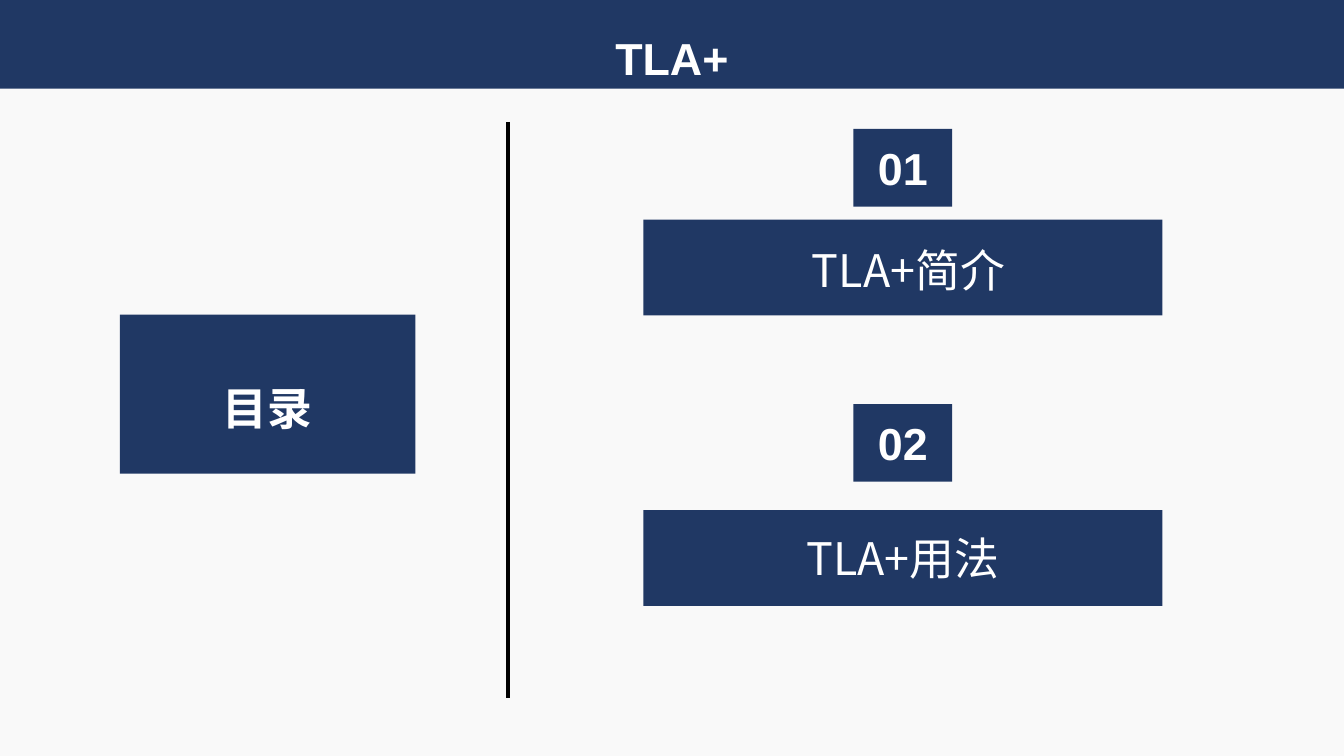
from lxml import etree
from pptx import Presentation, util as u
from pptx.dml.color import RGBColor
from pptx.enum import shapes, text
from pptx.oxml.ns import qn

NAVY, WHITE, BLACK, PAPER = "203864", "FFFFFF", "000000", "F9F9F9"
LATIN, CJK = "Arial", "Noto Sans CJK SC"
SLIDE_W, SLIDE_H = 13.33, 7.5


def colour(hex_value):
    """Turn a hex string into a colour."""
    return RGBColor.from_string(hex_value)


def add_run(paragraph, wording, size=32, font=LATIN, bold=True):
    """Append one white run, with its East Asian font."""
    run = paragraph.add_run()
    run.text = wording
    run.font.size = u.Pt(size)
    run.font.name = font
    run.font.bold = bold
    run.font.color.rgb = colour(WHITE)
    etree.SubElement(run.font._element, qn("a:ea"), typeface=CJK)


def add_block(slide, box, inset=(0.1, 0.05), spacing=None):
    """Place a navy block and return its centred paragraph."""
    block = slide.shapes.add_shape(
        shapes.MSO_SHAPE.RECTANGLE, *(u.Inches(length) for length in box))
    block.shadow.inherit = False
    block.fill.solid()
    block.fill.fore_color.rgb = colour(NAVY)
    block.line.fill.background()
    frame = block.text_frame
    frame.word_wrap = True
    frame.vertical_anchor = text.MSO_ANCHOR.MIDDLE
    frame.margin_left = frame.margin_right = u.Inches(inset[0])
    frame.margin_top = frame.margin_bottom = u.Inches(inset[1])
    paragraph = frame.paragraphs[0]
    paragraph.alignment = text.PP_ALIGN.CENTER
    if spacing:
        paragraph.line_spacing = spacing
    return paragraph


def add_heading(slide, box, wording):
    """Place a block with a bold, widely spaced heading."""
    add_run(add_block(slide, box, spacing=1.5), wording)


def add_divider(slide, x, top, bottom):
    """Draw the vertical rule between heading and chapters."""
    divider = slide.shapes.add_connector(
        shapes.MSO_CONNECTOR.STRAIGHT,
        u.Inches(x), u.Inches(top), u.Inches(x), u.Inches(bottom))
    divider.line.color.rgb = colour(BLACK)
    divider.line.width = u.Pt(3)
    etree.SubElement(divider._element.spPr, qn("a:effectLst"))


def add_chapter(slide, box, number, title_runs):
    """Place a number tile at the top of the box and its title bar at the bottom."""
    left, top, width, height = box
    tile_w, tile_h, bar_h, inset = 0.98, 0.77, 0.95, (0.04, 0.05)
    tile = (left + (width - tile_w) / 2, top, tile_w, tile_h)
    add_run(add_block(slide, tile, inset), number)
    bar = (left, top + height - bar_h, width, bar_h)
    title = add_block(slide, bar, inset)
    for wording, size in title_runs:
        add_run(title, wording, size, CJK, False)


def build_contents(slide):
    """Lay out the contents slide."""
    slide.background.fill.solid()
    slide.background.fill.fore_color.rgb = colour(PAPER)
    add_heading(slide, (0, 0, SLIDE_W, 0.88), "TLA+")
    add_heading(slide, (1.19, 3.12, 2.93, 1.58), "目录")
    add_divider(slide, 5.04, 1.21, 6.92)
    chapters = [
        (1.28, 1.85, "01", [(" ", 36), ("TLA+简介", 32)]),
        (4.01, 2.0, "02", [("TLA+用法", 32)]),
    ]
    for top, height, number, title_runs in chapters:
        add_chapter(slide, (6.38, top, 5.15, height), number, title_runs)


def main():
    """Build and save the presentation."""
    deck = Presentation()
    deck.slide_width, deck.slide_height = u.Inches(SLIDE_W), u.Inches(SLIDE_H)
    build_contents(deck.slides.add_slide(deck.slide_layouts[6]))
    deck.save("out.pptx")


if __name__ == "__main__":
    main()
